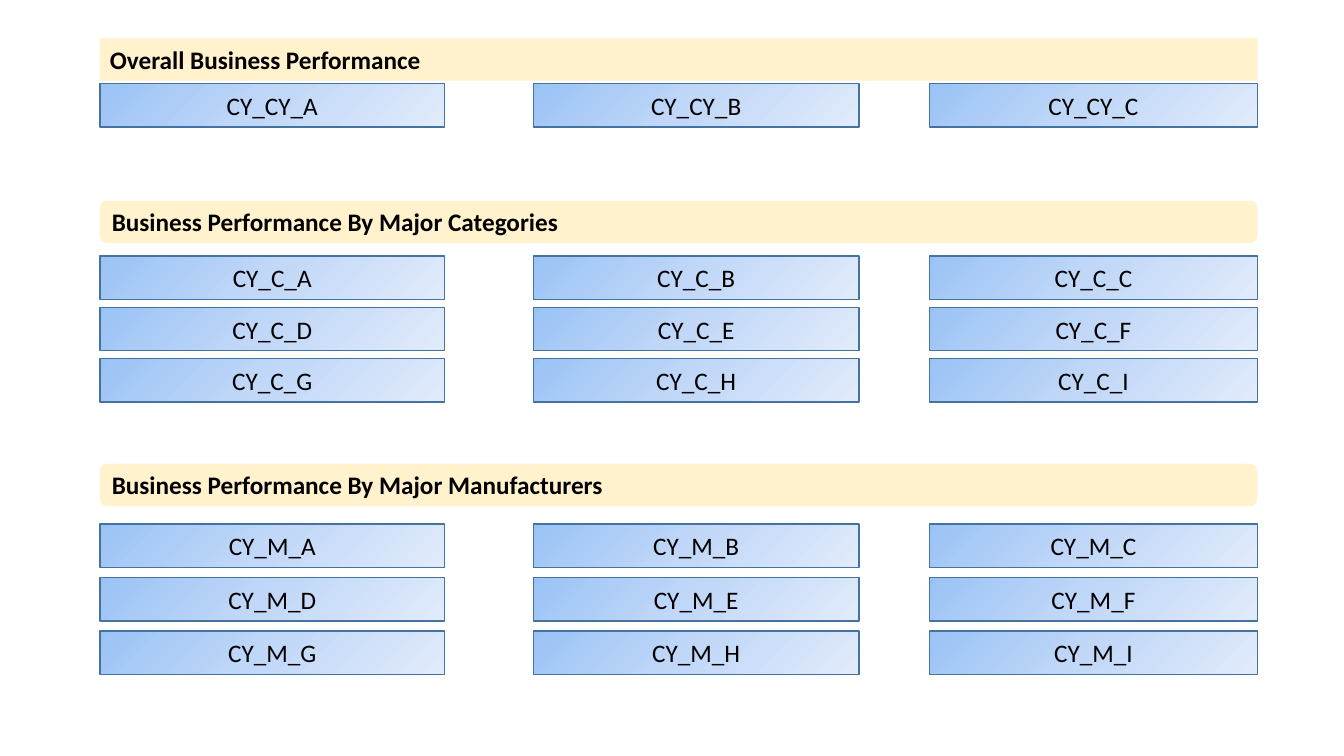
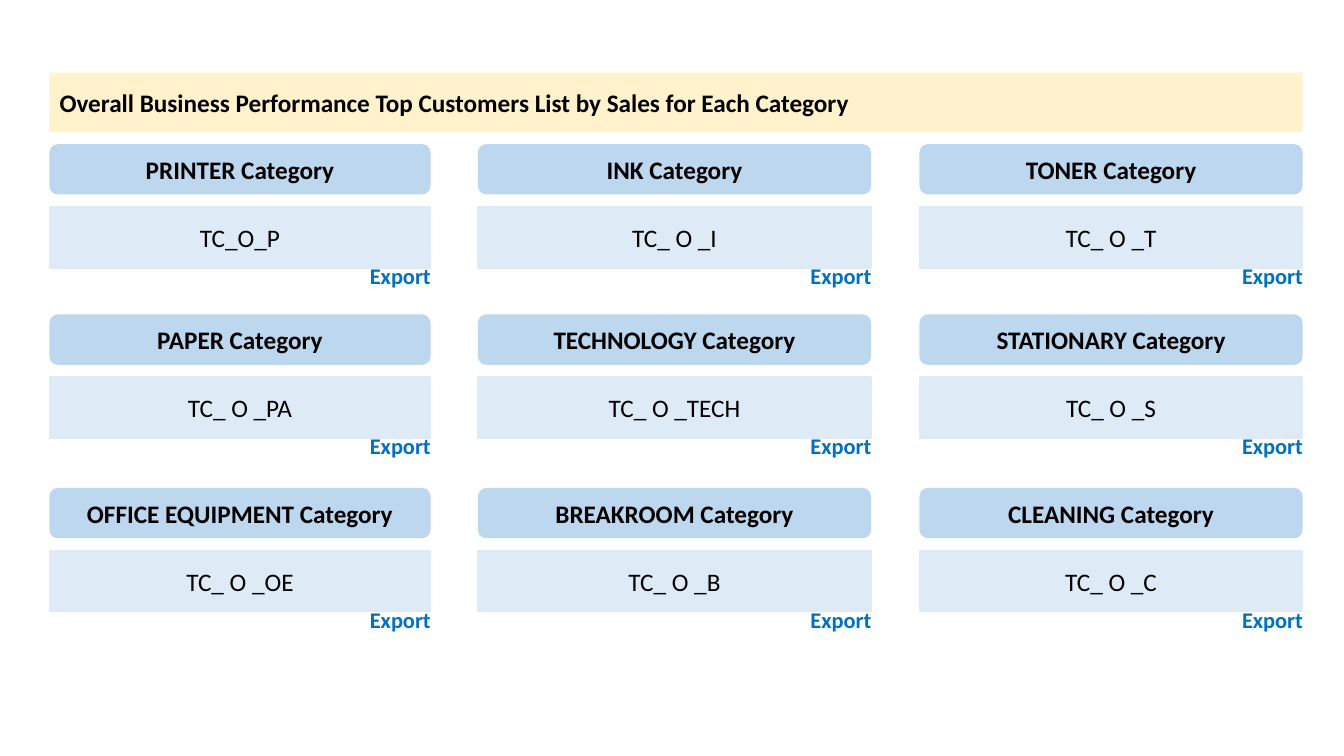
from copy import deepcopy
from itertools import product

from lxml import etree
from pptx import Presentation
from pptx.dml.color import RGBColor
from pptx.enum.shapes import MSO_SHAPE as Shape
from pptx.enum.text import MSO_ANCHOR as Anchor, MSO_AUTO_SIZE as AutoSize, PP_ALIGN as Align
from pptx.oxml.ns import qn
from pptx.util import Inches, Pt


def rgb(value):
    return RGBColor.from_string(value)


class Deck:
    FONT = "Calibri"
    TEXT = "000000"
    BAND = "FFF2CC"
    HEADING = "BDD7EE"
    CODE = "DEEBF7"
    LINK = "0070C0"
    BUTTON_LINE = "43739E"
    BUTTON_STOPS = ((0, "9AC3F5"), (0.5, "C2D8F8"), (1, "E1EBFB"))

    def __init__(self):
        self.presentation = Presentation()
        self.presentation.slide_width = Inches(13.33)
        self.presentation.slide_height = Inches(7.5)
        self.slide = None

    def new_slide(self):
        self.slide = self.presentation.slides.add_slide(self.presentation.slide_layouts[5])

    def set_text(self, shape, text, align, size=18, bold=False, color=TEXT):
        frame = shape.text_frame
        frame.text = text
        frame.vertical_anchor = Anchor.MIDDLE
        paragraph = frame.paragraphs[0]
        paragraph.alignment = align
        font = paragraph.runs[0].font
        font.name, font.size, font.bold = self.FONT, Pt(size), bold
        font.color.rgb = rgb(color)

    def box(self, preset, left, top, width, height, fill=None, line=None):
        shape = self.slide.shapes.add_shape(
            preset, Inches(left), Inches(top), Inches(width), Inches(height))
        shape.shadow.inherit = False
        shape.text_frame.word_wrap = True
        if fill:
            shape.fill.solid()
            shape.fill.fore_color.rgb = rgb(fill)
        if line:
            shape.line.color.rgb = rgb(line)
            shape.line.width = Pt(1)
        else:
            shape.line.fill.background()
        return shape

    def title(self, text, left, top, width, height):
        title = self.slide.shapes.title
        title.left, title.top = Inches(left), Inches(top)
        title.width, title.height = Inches(width), Inches(height)
        outline = etree.SubElement(title.element.spPr, qn("a:prstGeom"), prst="roundRect")
        etree.SubElement(outline, qn("a:avLst"))
        title.fill.solid()
        title.fill.fore_color.rgb = rgb(self.BAND)
        title.text_frame.auto_size = AutoSize.NONE
        self.set_text(title, text, Align.LEFT, bold=True)

    def band(self, text, left, top, width, height):
        band = self.box(Shape.ROUNDED_RECTANGLE, left, top, width, height, self.BAND)
        self.set_text(band, text, Align.LEFT, bold=True)

    def heading(self, text, left, top, width, height):
        heading = self.box(Shape.ROUNDED_RECTANGLE, left, top, width, height, self.HEADING)
        self.set_text(heading, text, Align.CENTER, bold=True)

    def code(self, text, left, top, width, height):
        code = self.box(Shape.RECTANGLE, left, top, width, height, self.CODE, self.CODE)
        self.set_text(code, text, Align.CENTER)

    def button(self, text, left, top, width, height):
        button = self.box(Shape.RECTANGLE, left, top, width, height, line=self.BUTTON_LINE)
        button.fill.gradient()
        button.fill.gradient_angle = 315
        stop_list = button.element.spPr.find(qn("a:gradFill")).find(qn("a:gsLst"))
        stop_list.append(deepcopy(stop_list[-1]))
        for stop, (position, color) in zip(button.fill.gradient_stops, self.BUTTON_STOPS):
            stop.position = position
            stop.color.rgb = rgb(color)
        self.set_text(button, text, Align.CENTER)

    def export_label(self, left, top):
        label = self.slide.shapes.add_textbox(
            Inches(left), Inches(top), Inches(0.81), Inches(0.37))
        self.set_text(label, "Export", Align.LEFT, size=16, bold=True, color=self.LINK)
        label.text_frame.vertical_anchor = Anchor.TOP
        label.text_frame.word_wrap = False
        label.text_frame.auto_size = AutoSize.SHAPE_TO_FIT_TEXT


def performance_slide(deck):
    columns = ((0.99, 3.42), (5.29, 3.23), (9.22, 3.25))
    sections = (
        ("Overall Business Performance", 0.38, "CY_CY_", "ABC", 0.83, 0),
        ("Business Performance By Major Categories", 1.99, "CY_C_", "ABCDEFGHI", 2.54, 0.51),
        ("Business Performance By Major Manufacturers", 4.6, "CY_M_", "ABCDEFGHI", 5.2, 0.53),
    )
    deck.new_slide()
    for index, (name, band_top, prefix, letters, first_top, pitch) in enumerate(sections):
        add_band = deck.band if index else deck.title
        add_band(name, 0.99, band_top, 11.48, 0.42)
        for position, letter in enumerate(letters):
            row, column = divmod(position, len(columns))
            left, width = columns[column]
            deck.button(prefix + letter, left, first_top + row * pitch, width, 0.43)


def customers_slide(deck):
    columns = ((0.49, 3.78), (4.74, 3.9), (9.12, 3.8))
    row_tops = (1.43, 3.12, 4.84)
    categories = (
        ("PRINTER", "TC_O_P"), ("INK", "TC_ O _I"), ("TONER", "TC_ O _T"),
        ("PAPER", "TC_ O _PA"), ("TECHNOLOGY", "TC_ O _TECH"), ("STATIONARY", "TC_ O _S"),
        ("OFFICE EQUIPMENT", "TC_ O _OE"), ("BREAKROOM", "TC_ O _B"), ("CLEANING", "TC_ O _C"),
    )
    deck.new_slide()
    deck.title("Overall Business Performance Top Customers List by Sales for Each Category",
               0.49, 0.72, 12.43, 0.59)
    for (top, (left, width)), (category, code) in zip(product(row_tops, columns), categories):
        deck.heading(f"{category} Category", left, top, width, 0.5)
        deck.code(code, left, top + 0.62, width, 0.61)
        deck.export_label(left + width - 0.7, top + 1.12)


def main():
    deck = Deck()
    performance_slide(deck)
    customers_slide(deck)
    deck.presentation.save("out.pptx")


if __name__ == "__main__":
    main()
